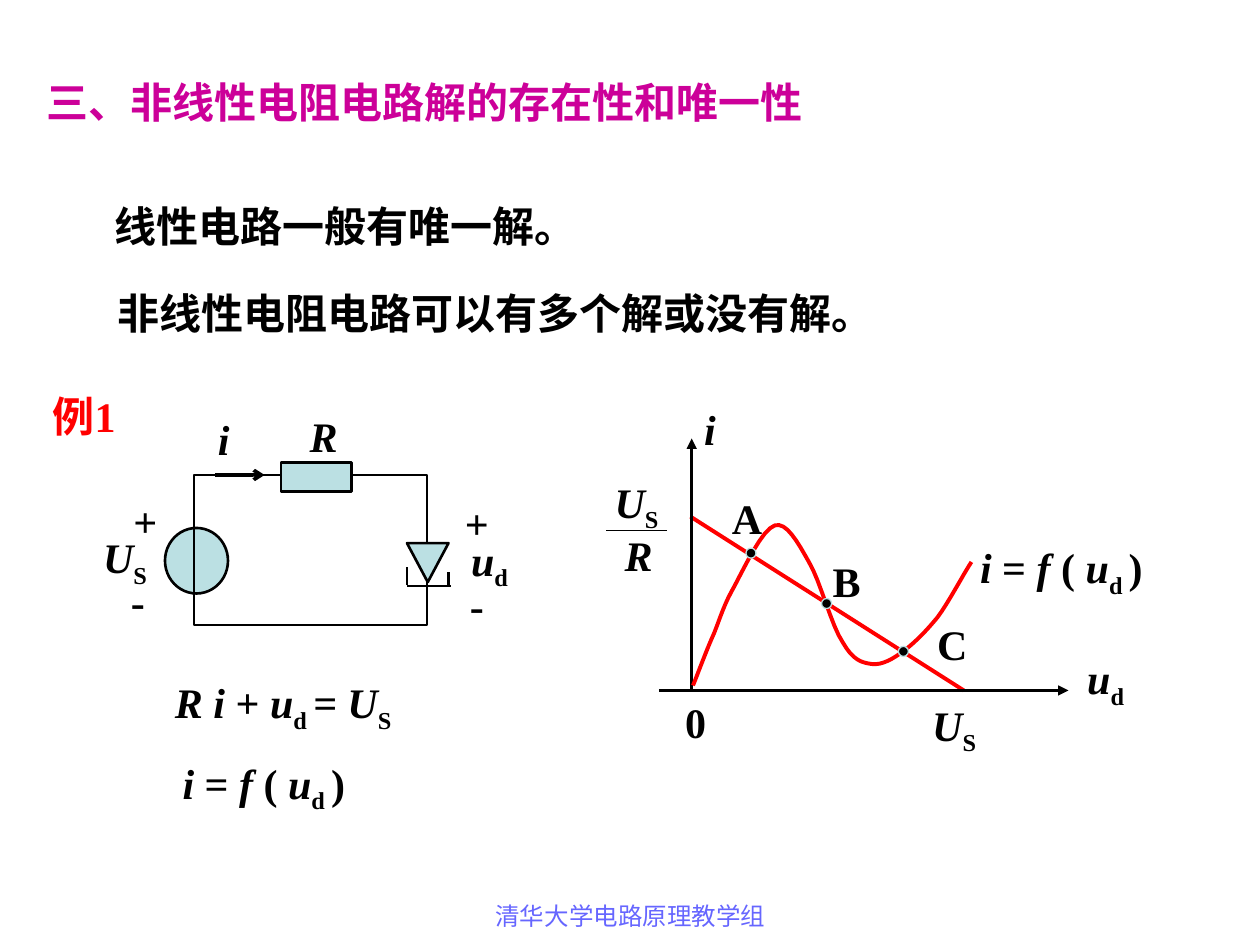
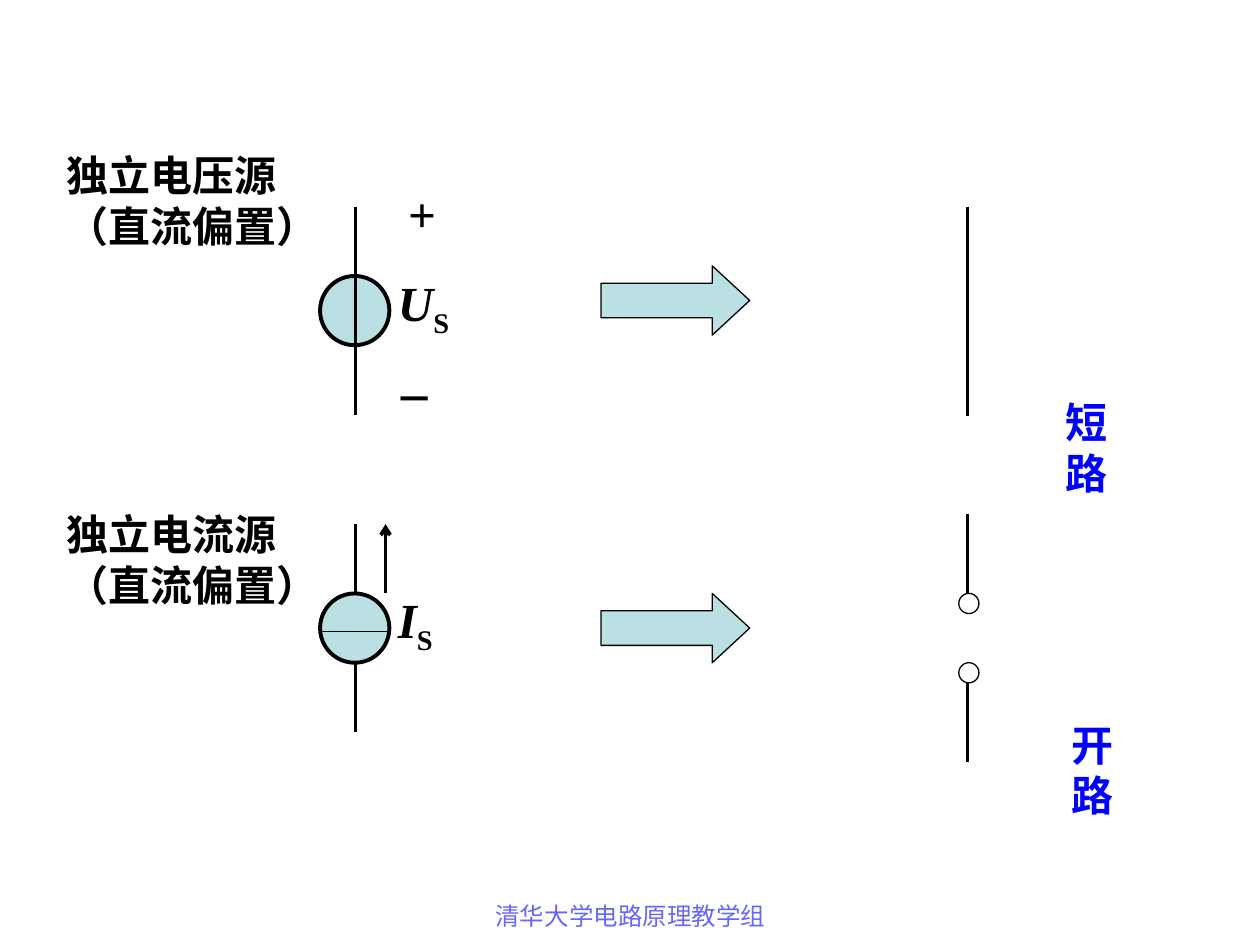
from lxml import etree
from pptx import Presentation
from pptx import util as u
from pptx.dml.color import RGBColor
from pptx.enum import lang, shapes, text
from pptx.oxml.ns import qn

BLACK, RED, BLUE = "000000", "FF0000", "0000FF"
MAGENTA, VIOLET, TEAL = "CC0099", "6666FF", "BBE0E3"
SERIF, SANS = "Times New Roman", "Arial"
CM_PER_INCH = 2.54

FOOTER = "清华大学电路原理教学组"
TITLE = "三、非线性电阻电路解的存在性和唯一性"
STATEMENTS = ["线性电路一般有唯一解。", "非线性电阻电路可以有多个解或没有解。"]

U_S = [("U", "italic"), ("S", "sub")]
I_S = [("I", "italic"), ("S", "sub")]
U_D = [("u", "italic"), ("d", "sub")]
CURRENT = [("i", "italic")]
RESISTANCE = [("R", "italic")]
DIODE_LAW = [("i", "italic"), (" = ", ""), ("f ", "italic"), ("( ", ""),
             ("u", "italic"), ("d ", "sub"), (")", "")]
LOOP_LAW = [("R i ", "italic"), ("+ ", ""), ("u", "italic"), ("d ", "sub"),
            ("= U", "italic"), ("S", "sub")]

CIRCUIT_LABELS = [
    (1.63, 3.23, 0.29, CURRENT), (2.36, 3.21, 0.42, RESISTANCE),
    (3.59, 3.9, 0.39, "+"), (3.64, 4.19, 0.49, U_D), (3.63, 4.55, 0.31, "-"),
    (0.96, 3.88, 0.39, "+"), (0.72, 4.17, 0.55, U_S), (0.94, 4.52, 0.31, "-"),
    (1.29, 5.32, 1.92, LOOP_LAW), (1.35, 5.96, 1.49, DIODE_LAW),
]
GRAPH_LABELS = [
    (4.78, 3.73, 0.55, U_S), (4.86, 4.15, 0.42, RESISTANCE),
    (7.3, 5.5, 0.55, U_S), (5.49, 3.15, 0.29, CURRENT),
    (8.53, 5.13, 0.62, U_D), (5.34, 5.48, 0.36, "0"),
    (7.68, 4.25, 1.49, DIODE_LAW),
    (5.71, 3.86, 0.44, "A"), (6.51, 4.36, 0.42, "B"), (7.34, 4.86, 0.44, "C"),
]
SOLUTIONS = [(5.96, 4.39), (6.56, 4.79), (7.17, 5.17)]
DIODE_CURVE = [
    (5.5, 5.44), (5.53, 5.37), (5.61, 5.15), (5.67, 5.02),
    (5.72, 4.89), (5.75, 4.79), (5.83, 4.65),
    (5.91, 4.5), (6.05, 4.2), (6.15, 4.17),
    (6.24, 4.14), (6.33, 4.3), (6.42, 4.46),
    (6.51, 4.61), (6.6, 4.97), (6.69, 5.1),
    (6.77, 5.24), (6.84, 5.26), (6.92, 5.27),
    (7, 5.28), (7.09, 5.23), (7.18, 5.16),
    (7.26, 5.1), (7.35, 5.01), (7.44, 4.9),
    (7.53, 4.78), (7.65, 4.55), (7.71, 4.46),
]
CURVE_STEPS = 8

SOURCES = [
    {"name": "独立电压源", "name_top": 1.14, "top": 1.64, "symbol": U_S,
     "arrow_top": 2.11, "result": "短路", "result_at": (8.36, 3.1)},
    {"name": "独立电流源", "name_top": 3.99, "top": 4.16, "symbol": I_S,
     "arrow_top": 4.71, "result": "开路", "result_at": (8.41, 5.66)},
]
BIAS = "（直流偏置）"


def length(inches):
    return u.Cm(inches * CM_PER_INCH)


def rgb(color):
    return RGBColor.from_string(color)


def place(shape, x, y, w, h):
    shape.left, shape.top, shape.width, shape.height = map(length, (x, y, w, h))
    return shape


def write(shape, paragraphs, size=24, font=SERIF, color=BLACK, bold=True,
          align=text.PP_ALIGN.LEFT, anchor=text.MSO_ANCHOR.TOP, wrap=False, grow=True):
    frame = shape.text_frame
    frame.word_wrap = wrap
    frame.vertical_anchor = anchor
    frame.auto_size = (text.MSO_AUTO_SIZE.SHAPE_TO_FIT_TEXT if grow
                       else text.MSO_AUTO_SIZE.NONE)
    for index, runs in enumerate(paragraphs):
        paragraph = frame.add_paragraph() if index else frame.paragraphs[0]
        paragraph.alignment = align
        for words, style in [(runs, "")] if isinstance(runs, str) else runs:
            run = paragraph.add_run()
            run.text = words
            run.font.size = u.Pt(size)
            run.font.name = font
            run.font.bold = bold
            run.font.italic = style == "italic"
            run.font.color.rgb = rgb(color)
            run.font.language_id = lang.MSO_LANGUAGE_ID.SIMPLIFIED_CHINESE
            if style == "sub":
                run.font._element.set("baseline", "-25000")
    return frame


def label(slide, x, y, w, h, *paragraphs, **style):
    box = slide.shapes.add_textbox(*map(length, (x, y, w, h)))
    return write(box, paragraphs, **style)


def add_labels(slide, labels):
    for x, y, w, runs in labels:
        has_subscript = any(style == "sub" for _, style in runs) if isinstance(runs, list) else False
        label(slide, x, y, w, 0.56 if has_subscript else 0.5, runs)


def outline(shape, color, width, fill=None):
    shape.shadow.inherit = False
    shape.line.color.rgb = rgb(color)
    shape.line.width = u.Pt(width)
    if fill:
        shape.fill.solid()
        shape.fill.fore_color.rgb = rgb(fill)
    else:
        shape.fill.background()
    return shape


def draw(slide, kind, x, y, w, h, width, fill=None, color=BLACK):
    shape = slide.shapes.add_shape(kind, *map(length, (x, y, w, h)))
    return outline(shape, color, width, fill)


def line(slide, x1, y1, x2, y2, width=1.5, color=BLACK, head=None):
    connector = slide.shapes.add_connector(
        shapes.MSO_CONNECTOR.STRAIGHT, *map(length, (x1, y1, x2, y2)))
    connector.line.color.rgb = rgb(color)
    connector.line.width = u.Pt(width)
    properties = connector._element.spPr
    if head:
        etree.SubElement(properties.find(qn("a:ln")), qn("a:tailEnd"), type=head)
    etree.SubElement(properties, qn("a:effectLst"))


def bezier_points(knots):
    points = [knots[0]]
    for first in range(0, len(knots) - 1, 3):
        a, b, c, d = knots[first:first + 4]
        for step in range(1, CURVE_STEPS + 1):
            t = step / CURVE_STEPS
            s = 1 - t
            points.append(tuple(
                s ** 3 * a[k] + 3 * s * s * t * b[k] + 3 * s * t * t * c[k] + t ** 3 * d[k]
                for k in (0, 1)))
    return [(length(x), length(y)) for x, y in points]


def add_footer(slide):
    label(slide, 3.42, 7.1, 3.17, 0.52, FOOTER, size=14, font=SANS, color=VIOLET,
          bold=False, align=text.PP_ALIGN.CENTER, wrap=True, grow=False)


def add_statements(body):
    place(body, 0.81, 1.54, 6.2, 1.19)
    frame = write(body, STATEMENTS)
    for index, paragraph in enumerate(frame.paragraphs):
        properties = paragraph._p.get_or_add_pPr()
        properties.set("marL", str(length(0.02 * index)))
        properties.set("indent", "0")
        etree.SubElement(properties, qn("a:buNone"))
        paragraph.space_before = u.Pt(21 * index)


def draw_circuit(slide):
    kind = shapes.MSO_SHAPE
    draw(slide, kind.OVAL, 1.31, 4.19, 0.5, 0.52, 1.5, TEAL)
    draw(slide, kind.RECTANGLE, 1.54, 3.77, 1.85, 1.19, 1)
    diode = draw(slide, kind.ISOSCELES_TRIANGLE, 3.23, 4.31, 0.33, 0.31, 1.5, TEAL)
    diode.rotation = 180
    line(slide, 3.23, 4.65, 3.58, 4.65)
    line(slide, 3.23, 4.64, 3.23, 4.5)
    line(slide, 3.56, 4.54, 3.56, 4.65)
    draw(slide, kind.RECTANGLE, 2.23, 3.67, 0.56, 0.23, 1.5, TEAL)
    line(slide, 1.71, 3.77, 2.1, 3.77, 2, head="arrow")
    add_labels(slide, CIRCUIT_LABELS)


def draw_graph(slide):
    line(slide, 5.48, 4.1, 7.65, 5.48, 2.25, RED)
    line(slide, 4.81, 4.21, 5.29, 4.21, 0.75)
    line(slide, 5.23, 5.48, 8.48, 5.48, head="triangle")
    line(slide, 5.49, 5.48, 5.49, 3.48, head="triangle")
    start, *rest = bezier_points(DIODE_CURVE)
    builder = slide.shapes.build_freeform(*start)
    builder.add_line_segments(rest, close=False)
    outline(builder.convert_to_shape(), RED, 2.25)
    for x, y in SOLUTIONS:
        draw(slide, shapes.MSO_SHAPE.OVAL, x - 0.04, y - 0.04, 0.08, 0.08, 0.75, BLACK, TEAL)
    add_labels(slide, GRAPH_LABELS)


def draw_source(slide, source):
    top = source["top"]
    is_voltage = source["symbol"] is U_S
    if not is_voltage:
        line(slide, 2.82, top, 2.82, top + 1.65)
    draw(slide, shapes.MSO_SHAPE.OVAL, 2.54, top + 0.55, 0.55, 0.55, 2.25, TEAL)
    if is_voltage:
        line(slide, 2.82, top, 2.82, top + 1.65)
        label(slide, 3.14, 1.41, 0.42, 0.57, "+", size=28, wrap=True)
        label(slide, 3.06, 2.82, 0.42, 0.64, "−", size=32, font=SANS, bold=False, wrap=True)
    else:
        line(slide, 2.53, top + 0.85, 3.08, top + 0.85, 0.75)
        line(slide, 3.06, top + 0.55, 3.06, top, 2, head="arrow")
    label(slide, 3.06, top + 0.47, 0.71, 0.63, source["symbol"], size=28, wrap=True)
    label(slide, 0.43, source["name_top"], 2.2, 0.9, source["name"], BIAS, font=SANS)
    arrow = draw(slide, shapes.MSO_SHAPE.RIGHT_ARROW,
                 4.77, source["arrow_top"], 1.18, 0.55, 0.75, TEAL)
    arrow.adjustments[1] = 0.54
    label(slide, *source["result_at"], 0.86, 0.5, source["result"], font=SANS, color=BLUE)


def draw_equivalents(slide):
    line(slide, 7.68, 1.64, 7.68, 3.3)
    for wire_top, terminal_top in [(4.08, 4.71), (5.42, 5.26)]:
        line(slide, 7.68, wire_top, 7.68, wire_top + 0.63)
        draw(slide, shapes.MSO_SHAPE.OVAL, 7.61, terminal_top, 0.16, 0.16, 0.75)


def main():
    deck = Presentation()
    deck.slide_width, deck.slide_height = length(10), length(7.5)

    solutions = deck.slides.add_slide(deck.slide_layouts[1])
    title, body = solutions.placeholders
    write(place(title, 0.27, 0.56, 6.3, 0.5), [TITLE], color=MAGENTA,
          anchor=text.MSO_ANCHOR.MIDDLE, wrap=True)
    add_statements(body)
    label(solutions, 0.32, 3.05, 0.94, 0.5, "例1", color=RED)
    draw_circuit(solutions)
    draw_graph(solutions)
    add_footer(solutions)

    equivalents = deck.slides.add_slide(deck.slide_layouts[6])
    for source in SOURCES:
        draw_source(equivalents, source)
    draw_equivalents(equivalents)
    add_footer(equivalents)

    deck.save("out.pptx")


if __name__ == "__main__":
    main()
